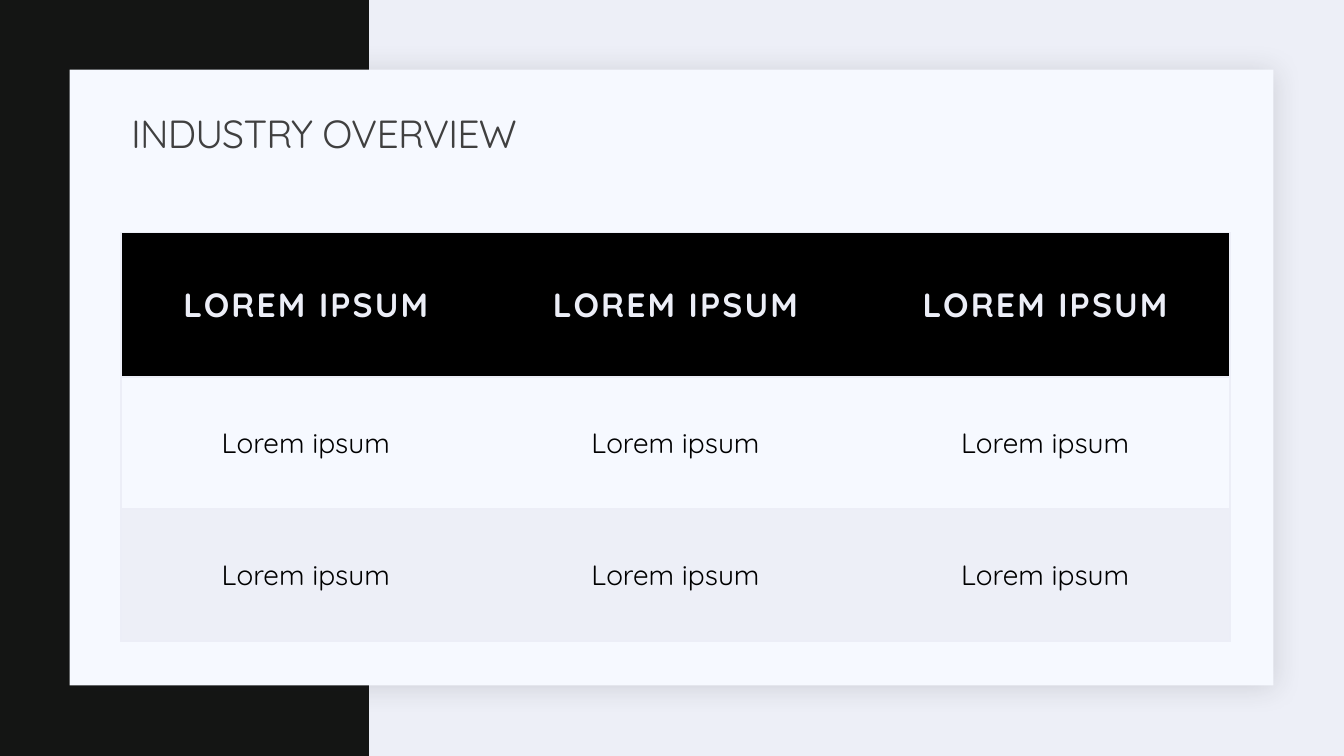
"""Build the industry overview slide with a three-column table."""
from pptx import Presentation
from pptx.dml.color import RGBColor
from pptx.enum.shapes import MSO_SHAPE
from pptx.enum.text import MSO_ANCHOR, MSO_AUTO_SIZE, PP_ALIGN
from pptx.oxml import parse_xml
from pptx.oxml.ns import nsdecls
from pptx.util import Inches, Pt


def paint(color_format, color):
    color_format.rgb = RGBColor.from_string(color)


def style(p, size, color, bold, spacing, align):
    p.alignment = align
    p.font.name = "Quicksand"
    p.font.size = Pt(size)
    p.font.bold = bold
    paint(p.font.color, color)
    p.font._element.set("spc", str(spacing))


prs = Presentation()
prs.slide_width, prs.slide_height = Inches(13.33), Inches(7.5)
s = prs.slides.add_slide(prs.slide_layouts[5])
s.background.fill.solid()
paint(s.background.fill.fore_color, "EDEFF7")

for box, color in [((0, 0, 3.66, 7.5), "141514"), ((0.69, 0.69, 11.94, 6.11), "F6F9FF")]:
    panel = s.shapes.add_shape(MSO_SHAPE.RECTANGLE, *map(Inches, box))
    panel.shadow.inherit = False
    panel.fill.solid()
    paint(panel.fill.fore_color, color)
    panel.line.fill.background()

panel._element.spPr.replace(panel._element.spPr.find("{*}effectLst"), parse_xml(
    f'<a:effectLst {nsdecls("a")}><a:outerShdw blurRad="{Pt(20)}" dist="{Pt(2)}" '
    'dir="2700000" algn="ctr" rotWithShape="0"><a:srgbClr val="1F2125">'
    '<a:alpha val="15000"/></a:srgbClr></a:outerShdw></a:effectLst>'))

rows = [
    (1.43, "LOREM IPSUM", "000000", (24, "ECEEF7", True, 150)),
    (1.31, "Lorem ipsum", "F6F9FF", (20, "000000", False, 0)),
    (1.31, "Lorem ipsum", "EDEFF7", (20, "000000", False, 0)),
]
cols = 3
table = s.shapes.add_table(len(rows), cols, Inches(1.2), Inches(2.31),
                           Inches(11), Inches(4.05)).table
for r, (height, text, fill, font) in enumerate(rows):
    table.rows[r].height = Inches(height)
    for c in range(cols):
        cell = table.cell(r, c)
        cell.text = text
        cell.vertical_anchor = MSO_ANCHOR.MIDDLE
        cell.margin_left = cell.margin_right = Inches(0.25)
        cell.margin_top = cell.margin_bottom = Inches(0.25)
        cell.fill.solid()
        paint(cell.fill.fore_color, fill)
        style(cell.text_frame.paragraphs[0], *font, PP_ALIGN.CENTER)
        edges = {"L": c == 0, "R": c == cols - 1, "T": True, "B": True}
        for i, (side, drawn) in enumerate(edges.items()):
            line = '<a:solidFill><a:srgbClr val="ECEEF7"/></a:solidFill>' if drawn else "<a:noFill/>"
            cell._tc.get_or_add_tcPr().insert(i, parse_xml(
                f'<a:ln{side} {nsdecls("a")} w="{Pt(1)}">{line}</a:ln{side}>'))

title = s.shapes.title
title.left, title.top, title.width, title.height = map(Inches, (1.2, 1.03, 11, 0.64))
tf = title.text_frame
tf.text = "INDUSTRY OVERVIEW"
tf.word_wrap = True
tf.auto_size = MSO_AUTO_SIZE.NONE
tf.vertical_anchor = MSO_ANCHOR.MIDDLE
tf.paragraphs[0].line_spacing = 0.9
style(tf.paragraphs[0], 28, "404040", False, -50, PP_ALIGN.LEFT)
s.shapes._spTree.append(title._element)

prs.save("out.pptx")
